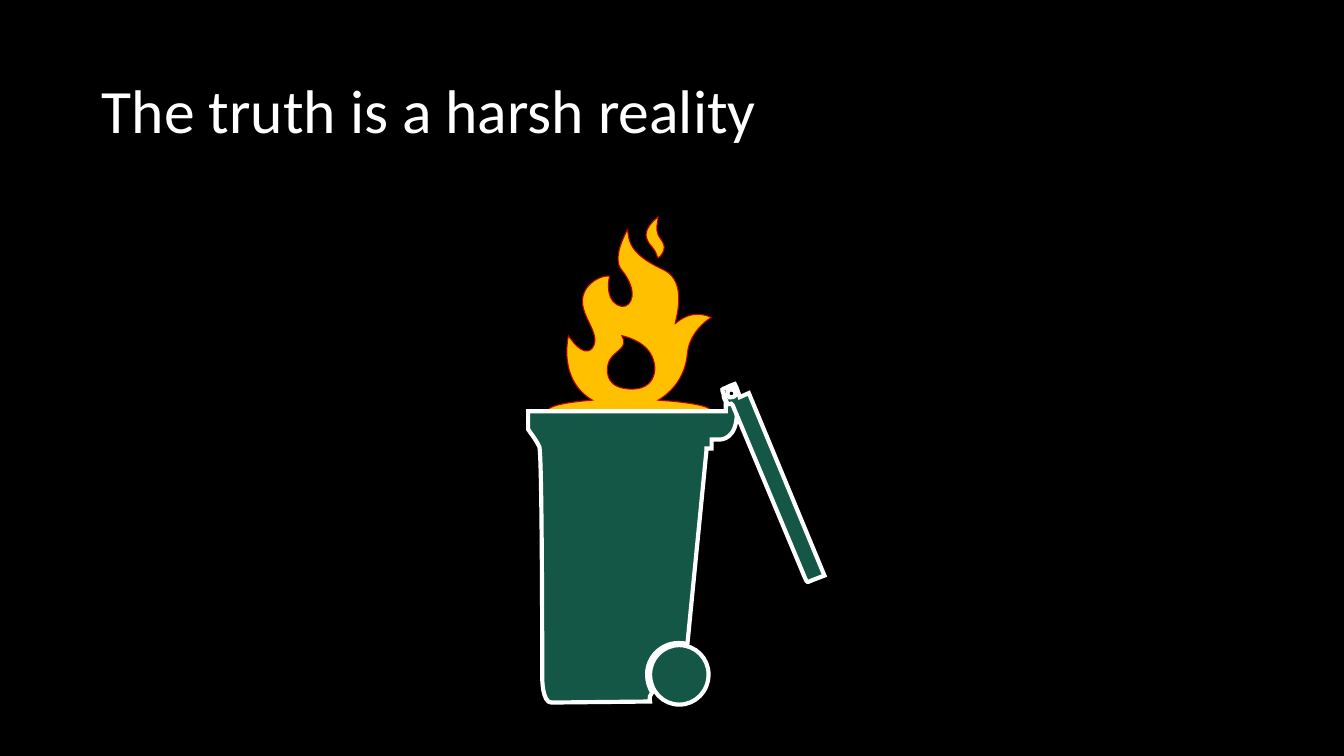
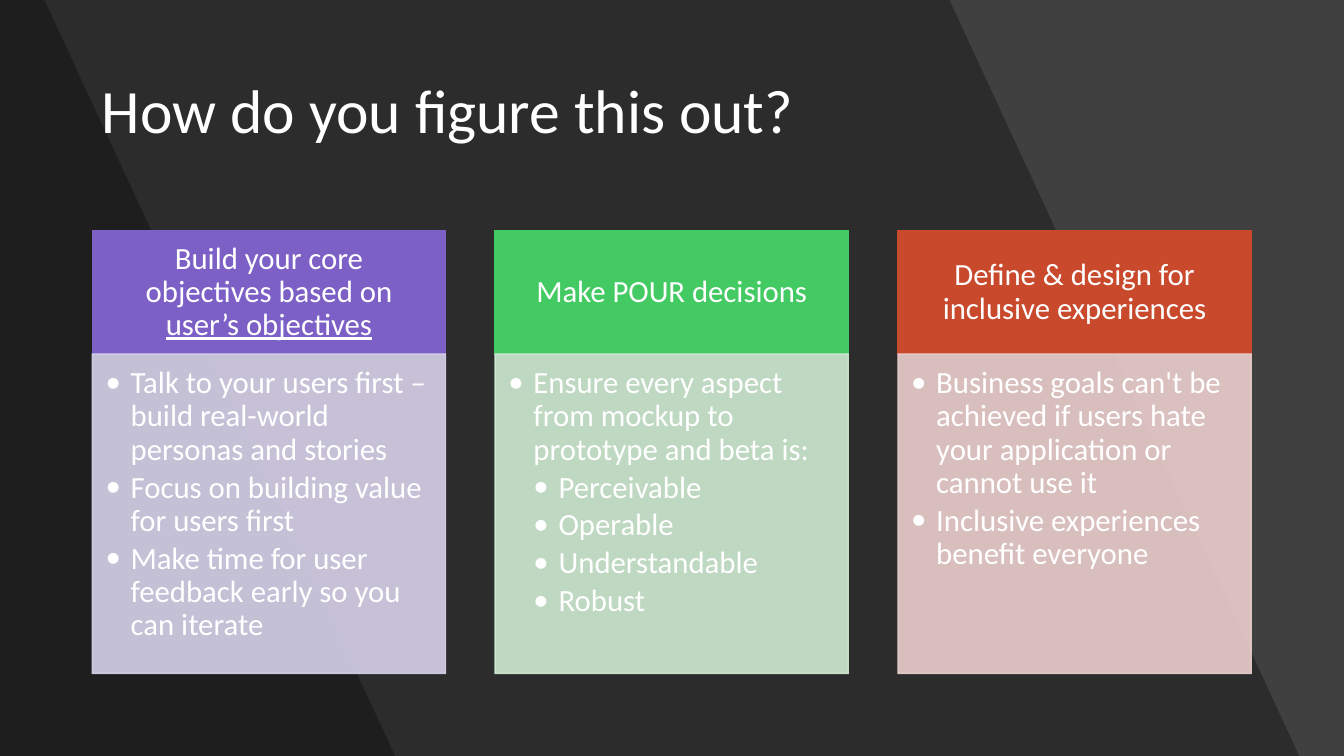
from lxml.etree import SubElement
from pptx import Presentation
from pptx.dml.color import RGBColor
from pptx.enum.shapes import MSO_SHAPE
from pptx.enum.text import MSO_ANCHOR, PP_ALIGN
from pptx.oxml.ns import qn
from pptx.util import Cm, Pt

COLORS = {
    "black": "000000", "grey": "404040", "white": "FFFFFF",
    "flame": "FFC000", "ember": "C00000", "bin": "155746",
    "purple": "7C60C6", "pale purple": "D7D2EA",
    "green": "44CA63", "pale green": "D0EBD3",
    "red": "C9492C", "pale red": "EBCFCD",
}
FONT = "Calibri"
UNIT = Cm(2.54)


def paint(sp, fill, line=None, width=1, alpha=100):
    sp.shadow.inherit = False
    sp.fill.solid()
    sp.fill.fore_color.rgb = RGBColor.from_string(COLORS[fill])
    if line:
        sp.line.color.rgb = RGBColor.from_string(COLORS[line])
        sp.line.width = Pt(width)
        SubElement(sp._element.spPr.find(qn("a:ln")), qn("a:miter"), lim="800000")
    else:
        sp.line.fill.background()
    if alpha < 100:
        for color in sp._element.spPr.iter(qn("a:srgbClr")):
            SubElement(color, qn("a:alpha"), val=str(alpha * 1000))


def write(tf, text, underlined="", size=22, align=PP_ALIGN.LEFT, level=0, after=0):
    p = tf.add_paragraph() if tf.text else tf.paragraphs[0]
    p.alignment = align
    p.line_spacing = 0.9
    p.space_after = Pt(after)
    for part, underline in ((text, False), (underlined, True)):
        if part:
            r = p.add_run()
            r.text = part
            r.font.name = FONT
            r.font.size = Pt(size)
            r.font.underline = underline
            r.font.color.rgb = RGBColor.from_string(COLORS["white"])
    if level:
        pPr = p._p.get_or_add_pPr()
        pPr.set("marL", str(Cm(0.635 * level)))
        pPr.set("indent", str(-Cm(0.635)))
        SubElement(pPr, qn("a:buFont"), typeface=FONT)
        SubElement(pPr, qn("a:buChar"), char="•")


SPARK = [
    "6.53 2.56; 6.57 2.53 6.59 2.49 6.59 2.45; 6.59 2.41 6.55 2.37 6.53 2.33;"
    "6.5 2.27 6.53 2.2 6.53 2.15; 6.46 2.21 6.41 2.27 6.41 2.33;"
    "6.41 2.36 6.43 2.41 6.47 2.45; 6.51 2.49 6.52 2.55 6.53 2.56",
]
FIRE = [
    "6.53 3.97; 6.68 3.88 6.8 3.73 6.82 3.51; 6.84 3.28 7.05 3.15 7.06 3.15;"
    "6.84 3.05 6.7 3.22 6.7 3.21; 6.7 3.18 6.83 2.8 6.59 2.68;"
    "6.31 2.55 6.23 2.44 6.23 2.27; 6.23 2.28 6.06 2.55 6.17 2.68;"
    "6.34 2.89 6.27 3.05 6.17 3.04; 6.01 3.01 6.03 2.8 6.05 2.74;"
    "5.97 2.73 5.87 2.79 5.82 2.86; 5.67 3.08 5.99 3.29 5.88 3.45;"
    "5.79 3.57 5.64 3.33 5.64 3.33; 5.58 3.65 5.7 3.87 5.88 3.97;"
    "5.61 3.99 5.43 4.03 5.43 4.08; 5.43 4.14 5.79 4.19 6.24 4.19;"
    "6.69 4.19 7.06 4.14 7.06 4.08; 7.06 4.03 6.84 3.99 6.53 3.97",
    "6.05 3.57; 6.11 3.47 6.24 3.45 6.17 3.33; 6.17 3.33 6.32 3.36 6.41 3.45;"
    "6.55 3.59 6.53 3.85 6.29 3.86; 5.98 3.87 6.01 3.64 6.05 3.57",
]
BIN = [
    "7.25 3.86; 7.21 3.86 7.18 3.89 7.18 3.93; 7.18 3.95 7.19 3.96 7.2 3.98;"
    "7.2 4.01 7.2 4.04 7.2 4.08; 7.15 4.08; 5.24 4.08; 5.24 4.26;"
    "5.25 4.28 5.27 4.3 5.29 4.33; 5.31 4.36 5.33 4.39 5.35 4.43;"
    "5.38 4.47 5.38 6.73 5.38 6.73; 5.38 6.73 5.38 6.97 5.47 6.97; 6.45 6.96;"
    "6.44 6.92 6.45 6.89 6.47 6.87; 6.44 6.82 6.42 6.76 6.42 6.69;"
    "6.42 6.52 6.56 6.38 6.73 6.38; 6.76 6.38 6.79 6.38 6.82 6.39; 7.01 4.46;"
    "7.01 4.46 7.01 4.45 7.01 4.45; 7.06 4.45; 7.06 4.36; 7.15 4.36;"
    "7.15 4.36 7.31 4.36 7.31 4.1; 7.31 3.98;"
    "7.32 3.96 7.33 3.95 7.33 3.93; 7.33 3.89 7.3 3.86 7.25 3.86",
    "7.25 3.86; 7.28 3.86 7.3 3.88 7.3 3.91; 7.3 3.93 7.28 3.95 7.25 3.95;"
    "7.23 3.95 7.21 3.93 7.21 3.91; 7.21 3.88 7.23 3.86 7.25 3.86",
]
LID = [
    "7.21 3.99; 7.23 4.04 7.25 3.98 7.27 4.02; 7.99 5.74;"
    "8.01 5.78 8.01 5.78 8.05 5.76; 8.18 5.71; 7.43 3.9; 7.34 3.94; 7.31 3.85;"
    "7.29 3.81; 7.29 3.81 7.23 3.83 7.2 3.85; 7.16 3.86 7.16 3.86 7.18 3.91;"
    "7.19 3.95 7.19 3.95 7.21 3.99",
    "7.22 3.92; 7.21 3.9 7.22 3.87 7.24 3.86; 7.26 3.85 7.29 3.86 7.3 3.89;"
    "7.31 3.91 7.3 3.93 7.27 3.94; 7.25 3.95 7.22 3.94 7.22 3.92",
]
WHEEL = [
    "7.03 6.69; 7.03 6.86 6.9 6.99 6.74 6.99; 6.58 6.99 6.45 6.86 6.45 6.69;"
    "6.45 6.53 6.58 6.4 6.74 6.4; 6.9 6.4 7.03 6.53 7.03 6.69",
]
WIDE_BAND = ["0 0; 9.42 0; 12.89 7.5; 0 7.5"]
NARROW_BAND = ["0 0; 0.44 0; 3.92 7.5; 0 7.5"]

FLAME_STYLE = {"fill": "flame", "line": "ember", "width": 0.75}
BIN_STYLE = {"fill": "bin", "line": "white", "width": 2.97}
BAND_STYLE = {"fill": "black", "alpha": 30}

SLIDES = [
    ("The truth is a harsh reality", "black", [
        (SPARK, FLAME_STYLE), (FIRE, FLAME_STYLE),
        (BIN, BIN_STYLE), (LID, BIN_STYLE), (WHEEL, BIN_STYLE),
    ]),
    ("How do you figure this out?", "grey", [
        (WIDE_BAND, BAND_STYLE), (NARROW_BAND, BAND_STYLE),
    ]),
]
COLUMNS = [
    ("purple", "Build your core objectives based on ", "user’s objectives", [
        (1, "Talk to your users first – build real-world personas and stories"),
        (1, "Focus on building value for users first"),
        (1, "Make time for user feedback early so you can iterate"),
    ]),
    ("green", "Make POUR decisions", "", [
        (1, "Ensure every aspect from mockup to prototype and beta is:"),
        (2, "Perceivable"),
        (2, "Operable"),
        (2, "Understandable"),
        (2, "Robust"),
    ]),
    ("red", "Define & design for inclusive experiences", "", [
        (1, "Business goals can't be achieved if users hate your application "
            "or cannot use it"),
        (1, "Inclusive experiences benefit everyone"),
    ]),
]

prs = Presentation()
prs.slide_width, prs.slide_height = Cm(33.87), Cm(19.05)

for title, background, outlines in SLIDES:
    s = prs.slides.add_slide(prs.slide_layouts[6])
    s.background.fill.solid()
    s.background.fill.fore_color.rgb = RGBColor.from_string(COLORS[background])

    for contours, style in outlines:
        builder, segments = None, []
        for contour in contours:
            steps = []
            for step in contour.split(";"):
                n = [round(float(v) * UNIT) for v in step.split()]
                steps.append(list(zip(n[::2], n[1::2])))
            start = steps[0][0]
            if builder is None:
                builder = s.shapes.build_freeform(*start, scale=1.0)
            else:
                builder.move_to(*start)
            builder.add_line_segments([step[-1] for step in steps[1:]], close=True)
            segments += steps[1:]
        sp = builder.convert_to_shape()
        for edge, points in zip(list(sp._element.iter(qn("a:lnTo"))), segments):
            if len(points) == 3:
                edge.tag = qn("a:cubicBezTo")
                edge.remove(edge[0])
                for x, y in points:
                    SubElement(edge, qn("a:pt"), x=str(x - sp.left), y=str(y - sp.top))
        paint(sp, **style)

    tf = s.shapes.add_textbox(Cm(2.32), Cm(1.02), Cm(29.21), Cm(3.68)).text_frame
    tf.word_wrap = True
    tf.vertical_anchor = MSO_ANCHOR.MIDDLE
    write(tf, title, size=44)

for i, (color, heading, underlined, bullets) in enumerate(COLUMNS):
    left = Cm(2.33 + i * 10.15)
    head = s.shapes.add_shape(MSO_SHAPE.RECTANGLE, left, Cm(5.82), Cm(8.9), Cm(3.1))
    body = s.shapes.add_shape(MSO_SHAPE.RECTANGLE, left, Cm(8.92), Cm(8.9), Cm(8.05))
    paint(head, color, line=color)
    paint(body, f"pale {color}", line=f"pale {color}", alpha=90)
    for sp, anchor, insets in (
        (head, MSO_ANCHOR.MIDDLE, (0.43, 0.25, 0.43, 0.25)),
        (body, MSO_ANCHOR.TOP, (0.33, 0.33, 0.43, 0.48)),
    ):
        tf = sp.text_frame
        tf.word_wrap = True
        tf.vertical_anchor = anchor
        tf.margin_left, tf.margin_top, tf.margin_right, tf.margin_bottom = map(Cm, insets)
    write(head.text_frame, heading, underlined, align=PP_ALIGN.CENTER)
    for level, text in bullets:
        write(body.text_frame, text, level=level, after=3.3)

prs.save("out.pptx")
